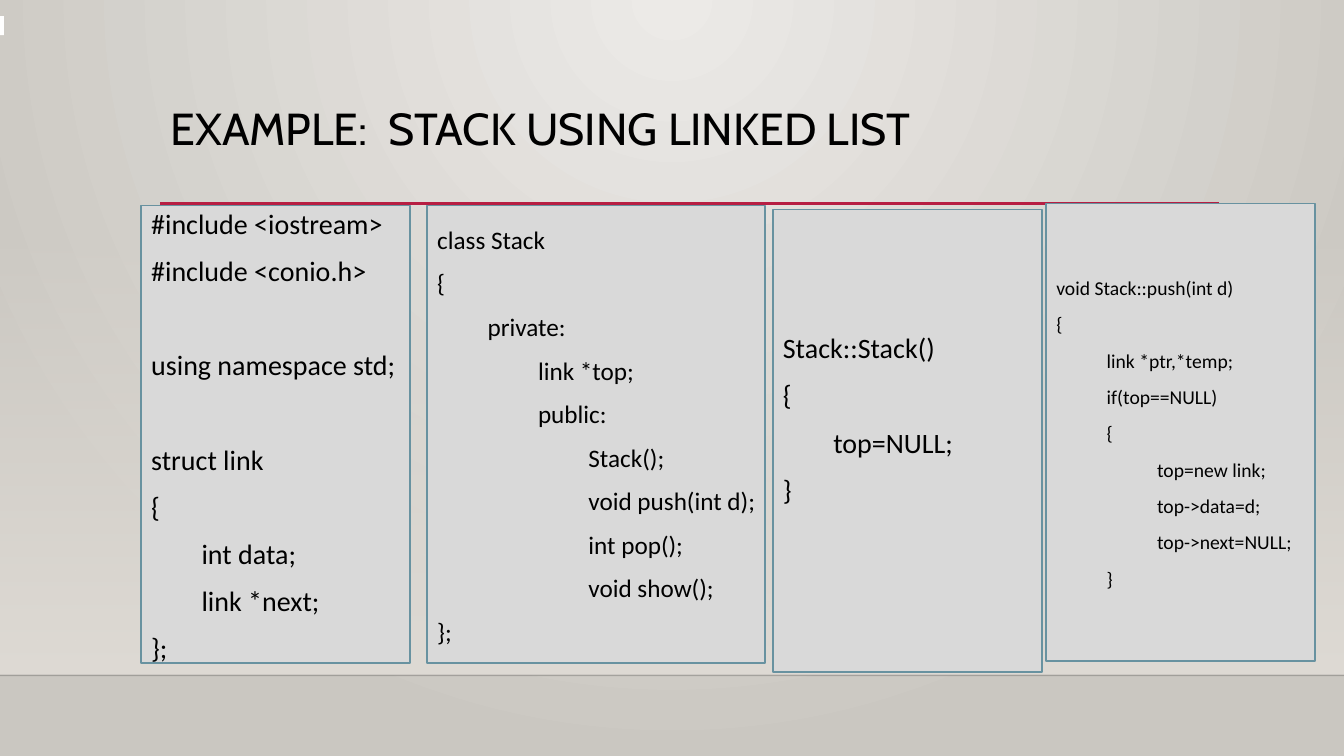
from dataclasses import dataclass

from lxml import etree
from pptx import Presentation
from pptx import util as u
from pptx.dml.color import RGBColor
from pptx.enum import shapes, text
from pptx.oxml import ns

HUES = {
    "glow": "ECEAE7", "edge": "CAC7C1", "floor": "DFDBD5", "rule": "B71E42",
    "seam": "000001", "panel": "D9D9D9", "frame": "6892A0", "ink": "000000",
    "chip": "FFFFFF",
}
TAB = u.Inches(0.5)
WIDE, HIGH = 33.87, 19.05


@dataclass
class Panel:
    left: float
    top: float
    width: float
    height: float
    size: int
    code: str
    foot: float = 0.13


PANELS = [
    Panel(3.56, 5.18, 6.78, 11.53, 20, """#include <iostream>
#include <conio.h>

using namespace std;

struct link
{
\tint data;
\tlink *next;
};"""),
    Panel(10.77, 5.18, 8.51, 11.53, 18, """class Stack
{
\tprivate:
\t\tlink *top;
\t\tpublic:
\t\t\tStack();
\t\t\tvoid push(int d);
\t\t\tint pop();
\t\t\tvoid show();
};"""),
    Panel(19.48, 5.28, 6.78, 11.66, 20, """Stack::Stack()
{
\ttop=NULL;
}""", foot=1.32),
    Panel(26.37, 5.13, 6.78, 11.53, 14, """void Stack::push(int d)
{
\tlink *ptr,*temp;
\tif(top==NULL)
\t{
\t\ttop=new link;
\t\ttop->data=d;
\t\ttop->next=NULL;
\t}"""),
]


def hue(name: str) -> RGBColor:
    return RGBColor.from_string(HUES[name])


def fade(node, *parts: int) -> None:
    """Give the colours inside node these opacities, in percent."""
    for clr, part in zip(node.iter(ns.qn("a:srgbClr")), parts):
        etree.SubElement(clr, ns.qn("a:alpha"), val=str(part * 1000))


def blend(fill, first: str, last: str) -> None:
    fill.gradient()
    for stop, name in zip(fill.gradient_stops, (first, last)):
        stop.color.rgb = hue(name)


def write(para, words: str, *, size: int, font: str = "Calibri",
          align=text.PP_ALIGN.JUSTIFY, lead: float = 1.07,
          after: float = 8, depth: int = 0) -> None:
    para.alignment = align
    para.line_spacing = lead
    para.space_after = u.Pt(after)
    props = para._p.get_or_add_pPr()
    props.set("marL", str(depth * TAB))
    props.set("indent", "0")
    run = para.add_run()
    run.text = words
    run.font.size = u.Pt(size)
    run.font.name = font
    run.font.color.rgb = hue("ink")


def block(slide, left: float, top: float, width: float, height: float):
    shape = slide.shapes.add_shape(
        shapes.MSO_SHAPE.RECTANGLE, *map(u.Cm, (left, top, width, height)))
    shape.shadow.inherit = False
    shape.line.fill.background()
    return shape


def rule(slide, left: float, right: float, y: float, name: str, width: float):
    line = slide.shapes.add_connector(
        shapes.MSO_CONNECTOR.STRAIGHT, u.Cm(left), u.Cm(y), u.Cm(right), u.Cm(y))
    line.line.color.rgb = hue(name)
    line.line.width = u.Pt(width)
    etree.SubElement(line._element.spPr, ns.qn("a:effectLst"))
    return line


def draw(slide, panel: Panel) -> None:
    """Draw a code panel: tabs set the indent, blank lines add space."""
    shape = block(slide, panel.left, panel.top, panel.width, panel.height)
    shape.fill.solid()
    shape.fill.fore_color.rgb = hue("panel")
    shape.line.color.rgb = hue("frame")
    shape.line.width = u.Pt(1.25)
    frame = shape.text_frame
    frame.word_wrap = True
    frame.vertical_anchor = text.MSO_ANCHOR.MIDDLE
    frame.margin_right = u.Cm(0.1)
    frame.margin_bottom = u.Cm(panel.foot)
    rows = panel.code.split("\n")
    para = frame.paragraphs[0]
    for i, row in enumerate(rows):
        if not row:
            continue
        if i:
            para = frame.add_paragraph()
        gap = i + 1 < len(rows) and not rows[i + 1]
        write(para, row.lstrip("\t"), size=panel.size,
              after=41.6 if gap else 8, depth=row.count("\t"))


def stage(slide) -> None:
    """Draw the backdrop, the floor band and both rules."""
    fill = slide.background.fill
    blend(fill, "glow", "edge")
    lin = next(slide._element.iter(ns.qn("a:lin")))
    ring = etree.Element(ns.qn("a:path"), path="circle")
    etree.SubElement(ring, ns.qn("a:fillToRect"),
                     l="43000", t="0", r="43000", b="100000")
    lin.getparent().replace(lin, ring)

    band = block(slide, 0, 5.61, WIDE, 11.4)
    blend(band.fill, "floor", "floor")
    band.fill.gradient_angle = 270
    fade(band._element.spPr, 0, 100)
    seam = rule(slide, 0, WIDE, 17.02, "seam", 1)
    fade(seam._element.spPr, 20)
    rule(slide, 4.04, 30.73, 5.13, "rule", 2.5)


def head(slide, words: str) -> None:
    title = slide.shapes.title
    title.left, title.top, title.width, title.height = map(
        u.Cm, (4.04, 2.57, 26.67, 2.62))
    slide.shapes._spTree.append(title._element)
    frame = title.text_frame
    frame.word_wrap = True
    frame.auto_size = text.MSO_AUTO_SIZE.NONE
    frame.vertical_anchor = text.MSO_ANCHOR.TOP
    write(frame.paragraphs[0], words, size=32, font="Cabin",
          align=text.PP_ALIGN.LEFT, lead=0.9, after=0)


def main() -> None:
    deck = Presentation()
    deck.slide_width, deck.slide_height = u.Cm(WIDE), u.Cm(HIGH)
    slide = deck.slides.add_slide(deck.slide_layouts[5])
    stage(slide)
    head(slide, "EXAMPLE:  STACK USING LINKED LIST")
    chip = block(slide, 0, 0.41, 0.1, 0.48)
    chip.fill.solid()
    chip.fill.fore_color.rgb = hue("chip")
    for panel in PANELS:
        draw(slide, panel)
    deck.save("out.pptx")


if __name__ == "__main__":
    main()
